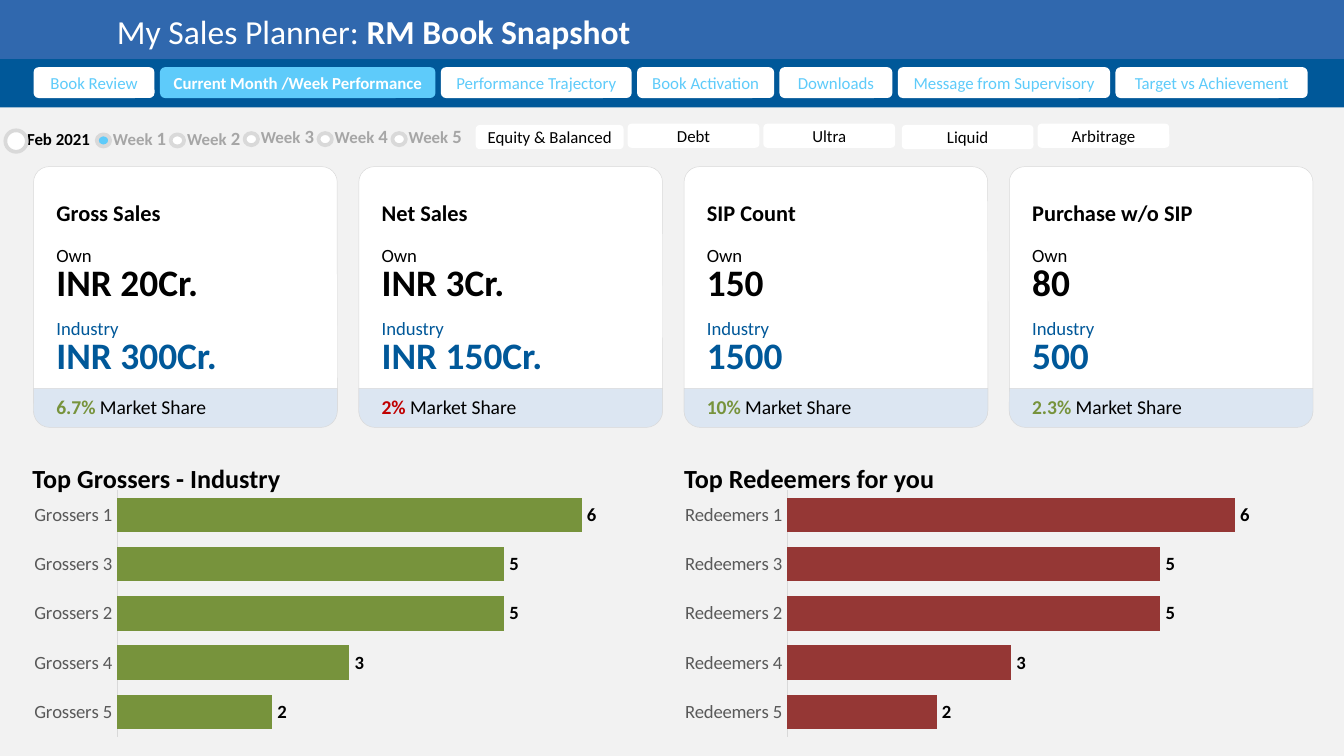
"""Build the sales planner slide with the RM book snapshot."""
import pptx
import pptx.chart.data
import pptx.dml.color
import pptx.enum.chart
import pptx.enum.shapes
import pptx.enum.text
import pptx.util

Inches, Pt = pptx.util.Inches, pptx.util.Pt
RGBColor = pptx.dml.color.RGBColor
SHAPE = pptx.enum.shapes.MSO_SHAPE
ALIGN = pptx.enum.text.PP_ALIGN
ANCHOR = pptx.enum.text.MSO_ANCHOR

BLACK = RGBColor(0x00, 0x00, 0x00)
WHITE = RGBColor(0xFF, 0xFF, 0xFF)
HEADER_BLUE = RGBColor(0x30, 0x68, 0xAE)
DEEP_BLUE = RGBColor(0x00, 0x58, 0x99)
SKY = RGBColor(0x5E, 0xCB, 0xFA)
PALE_BLUE = RGBColor(0xDC, 0xE6, 0xF2)
BACKDROP = RGBColor(0xF2, 0xF2, 0xF2)
RULE = RGBColor(0xD9, 0xD9, 0xD9)
MUTED = RGBColor(0xA6, 0xA6, 0xA6)
AXIS_TEXT = RGBColor(0x59, 0x59, 0x59)
GREEN = RGBColor(0x77, 0x93, 0x3C)
RED = RGBColor(0xC0, 0x00, 0x00)
MAROON = RGBColor(0x95, 0x37, 0x35)

FONT = "Calibri"
PADDING = (0.07, 0.04, 0.07, 0.04)
PAGE_WIDTH = Inches(10)
PAGE_HEIGHT = PAGE_WIDTH * 9 // 16

BANDS = [(-0.01, 0.47, HEADER_BLUE), (0.44, 5.19, BACKDROP), (0.44, 0.36, DEEP_BLUE)]
TITLE = [("My Sales Planner: ", 18, WHITE, False), ("RM Book Snapshot", 18, WHITE, True)]
TABS = [
    ("Book Review", 0.9),
    ("Current Month /Week Performance", 2.05),
    ("Performance Trajectory", 1.42),
    ("Book Activation", 1.02),
    ("Downloads", 0.84),
    ("Message from Supervisory", 1.58),
    ("Target vs Achievement", 1.43),
]
ACTIVE_TAB = "Current Month /Week Performance"
TAB_LEFT, TAB_TOP, TAB_HEIGHT, TAB_GAP = 0.25, 0.5, 0.23, 0.04

MONTH = "Feb 2021"
WEEKS = [("1", 0.91, 0.23, 1.0), ("2", 0.9, 0.26, 1.0), ("3", 0.9, 0.23, 0.99),
         ("4", 0.9, 0.23, 0.99), ("5", 0.9, 0.23, 0.99)]
ACTIVE_WEEK = "1"
WEEK_LEFT, WEEK_PITCH = 0.76, 0.55
FUNDS = [("Equity & Balanced", 3.54, 0.93, 1.1), ("Debt", 4.67, 0.92, 0.98),
         ("Ultra", 5.68, 0.92, 0.98), ("Liquid", 6.71, 0.93, 0.98),
         ("Arbitrage", 7.72, 0.92, 0.98)]

CARDS = [
    ("Gross Sales", "INR 20Cr.", "INR 300Cr.", "6.7% ", GREEN),
    ("Net Sales", "INR 3Cr.", "INR 150Cr.", "2% ", RED),
    ("SIP Count", "150", "1500", "10% ", GREEN),
    ("Purchase w/o SIP", "80", "500", "2.3% ", GREEN),
]
CARD_LEFT, CARD_PITCH, CARD_WIDTH = 0.25, 2.42, 2.26

RANKINGS = [
    ("Top Grossers - Industry", "Grossers", GREEN, 0.16, 0.16),
    ("Top Redeemers for you", "Redeemers", MAROON, 5.01, 5.0),
]
RANKED_VALUES = [(5, 2), (4, 3), (2, 5), (3, 5), (1, 6)]


def apply(target, values):
    for name, value in values.items():
        setattr(target, name, value)


def style_font(font, size, color, bold=False):
    apply(font, {"name": FONT, "size": Pt(size), "bold": bold})
    font.color.rgb = color


def write(box, spans, align=ALIGN.LEFT, insets=(0, 0, 0, 0), spacing=None):
    frame = box.text_frame
    sides = ("margin_left", "margin_top", "margin_right", "margin_bottom")
    apply(frame, {"word_wrap": True, "vertical_anchor": ANCHOR.MIDDLE})
    apply(frame, {side: Inches(inset) for side, inset in zip(sides, insets)})
    para = frame.paragraphs[0]
    para.alignment = align
    if spacing:
        para.line_spacing = Pt(spacing)
    for text, size, color, bold in spans:
        span = para.add_run()
        span.text = text
        style_font(span.font, size, color, bold)


def add_text(page, place, spans, spacing=None):
    write(page.shapes.add_textbox(*map(Inches, place)), spans, spacing=spacing)


def add_block(page, kind, place, fill=None, outline=None, adjustments=()):
    block = page.shapes.add_shape(kind, *map(Inches, place))
    block.shadow.inherit = False
    if fill is None:
        block.fill.background()
    else:
        block.fill.solid()
        block.fill.fore_color.rgb = fill
    if outline is None:
        block.line.fill.background()
    else:
        block.line.color.rgb = RULE
        block.line.width = Pt(outline)
    for index, value in enumerate(adjustments):
        block.adjustments[index] = value
    return block


def add_label(page, place, spans, fill=None, align=ALIGN.LEFT):
    write(add_block(page, SHAPE.ROUNDED_RECTANGLE, place, fill), spans, align, PADDING)


def add_header(page):
    for top, height, fill in BANDS:
        add_block(page, SHAPE.RECTANGLE, (0, top, 10, height), fill)
    add_text(page, (0.87, 0.07, 8.07, 0.32), TITLE)
    left = TAB_LEFT
    for name, width in TABS:
        active = name == ACTIVE_TAB
        add_label(page, (left, TAB_TOP, width, TAB_HEIGHT),
                  [(name, 9, WHITE if active else SKY, active)],
                  SKY if active else WHITE, ALIGN.CENTER)
        left += width + TAB_GAP


def add_filters(page):
    add_label(page, (0.12, 0.92, 0.75, 0.23), [(MONTH, 9, BLACK, True)])
    add_block(page, SHAPE.OVAL, (0.04, 0.97, 0.16, 0.16), WHITE, 2)
    for index, (week, top, height, dot_top) in enumerate(WEEKS):
        left = WEEK_LEFT + index * WEEK_PITCH
        add_label(page, (left, top, 0.63, height),
                  [("Week", 9, MUTED, True), (" " + week, 10, MUTED, True)])
        add_block(page, SHAPE.OVAL, (left - 0.04, dot_top, 0.1, 0.09),
                  SKY if week == ACTIVE_WEEK else WHITE, 2)
    for fund, left, top, width in FUNDS:
        add_label(page, (left, top, width, 0.18), [(fund, 9, BLACK, False)],
                  WHITE, ALIGN.CENTER)


def add_card(page, left, card):
    heading, own, industry, share, share_color = card
    add_block(page, SHAPE.ROUNDED_RECTANGLE, (left, 1.24, CARD_WIDTH, 1.93),
              WHITE, 0.25, (0.06,))
    add_block(page, SHAPE.ROUND_2_SAME_RECTANGLE, (left, 2.89, CARD_WIDTH, 0.29),
              PALE_BLUE, 0.25, (0, 0.42))
    lines = [
        (1.37, 0.43, [(heading, 12, BLACK, True)], 14),
        (1.87, 0.45, [(own, 20, BLACK, True)], None),
        (2.9, 0.26, [(share, 10.5, share_color, True),
                     ("Market Share", 10.5, BLACK, False)], None),
        (1.67, 0.43, [("Own", 10, BLACK, False)], 14),
        (2.41, 0.45, [(industry, 20, DEEP_BLUE, True)], None),
        (2.21, 0.43, [("Industry", 10, DEEP_BLUE, False)], 14),
    ]
    for top, height, spans, spacing in lines:
        add_text(page, (left + 0.17, top, 1.94, height), spans, spacing)


def add_ranking(page, heading, noun, color, heading_left, chart_left):
    add_label(page, (heading_left, 3.44, 2.38, 0.23), [(heading, 14, BLACK, True)])
    data = pptx.chart.data.CategoryChartData()
    data.categories = [f"{noun} {number}" for number, _ in RANKED_VALUES]
    data.add_series("Series 1", [value for _, value in RANKED_VALUES])
    place = map(Inches, (chart_left, 3.61, 4.84, 1.91))
    chart = page.shapes.add_chart(
        pptx.enum.chart.XL_CHART_TYPE.BAR_CLUSTERED, *place, data).chart
    apply(chart, {"has_legend": False, "has_title": False})
    style_font(chart.font, 10, BLACK)
    no_tick = pptx.enum.chart.XL_TICK_MARK.NONE
    axis = chart.category_axis
    apply(axis, {"major_tick_mark": no_tick, "minor_tick_mark": no_tick,
                 "has_major_gridlines": False})
    style_font(axis.tick_labels.font, 10, AXIS_TEXT)
    axis.format.line.color.rgb = RULE
    axis.format.line.width = Pt(0.75)
    apply(chart.value_axis, {"visible": False, "has_major_gridlines": False,
                             "minimum_scale": 0, "maximum_scale": 7})
    plot = chart.plots[0]
    apply(plot, {"gap_width": 43, "overlap": 5, "vary_by_categories": False})
    series = plot.series[0]
    series.format.fill.solid()
    series.format.fill.fore_color.rgb = color
    labels = series.data_labels
    apply(labels, {"show_value": True,
                   "position": pptx.enum.chart.XL_LABEL_POSITION.OUTSIDE_END})
    style_font(labels.font, 10, BLACK, True)


def main():
    deck = pptx.Presentation()
    apply(deck, {"slide_width": PAGE_WIDTH, "slide_height": PAGE_HEIGHT})
    page = deck.slides.add_slide(deck.slide_layouts[6])
    add_header(page)
    add_filters(page)
    for index, card in enumerate(CARDS):
        add_card(page, CARD_LEFT + index * CARD_PITCH, card)
    for ranking in RANKINGS:
        add_ranking(page, *ranking)
    deck.save("out.pptx")


if __name__ == "__main__":
    main()
